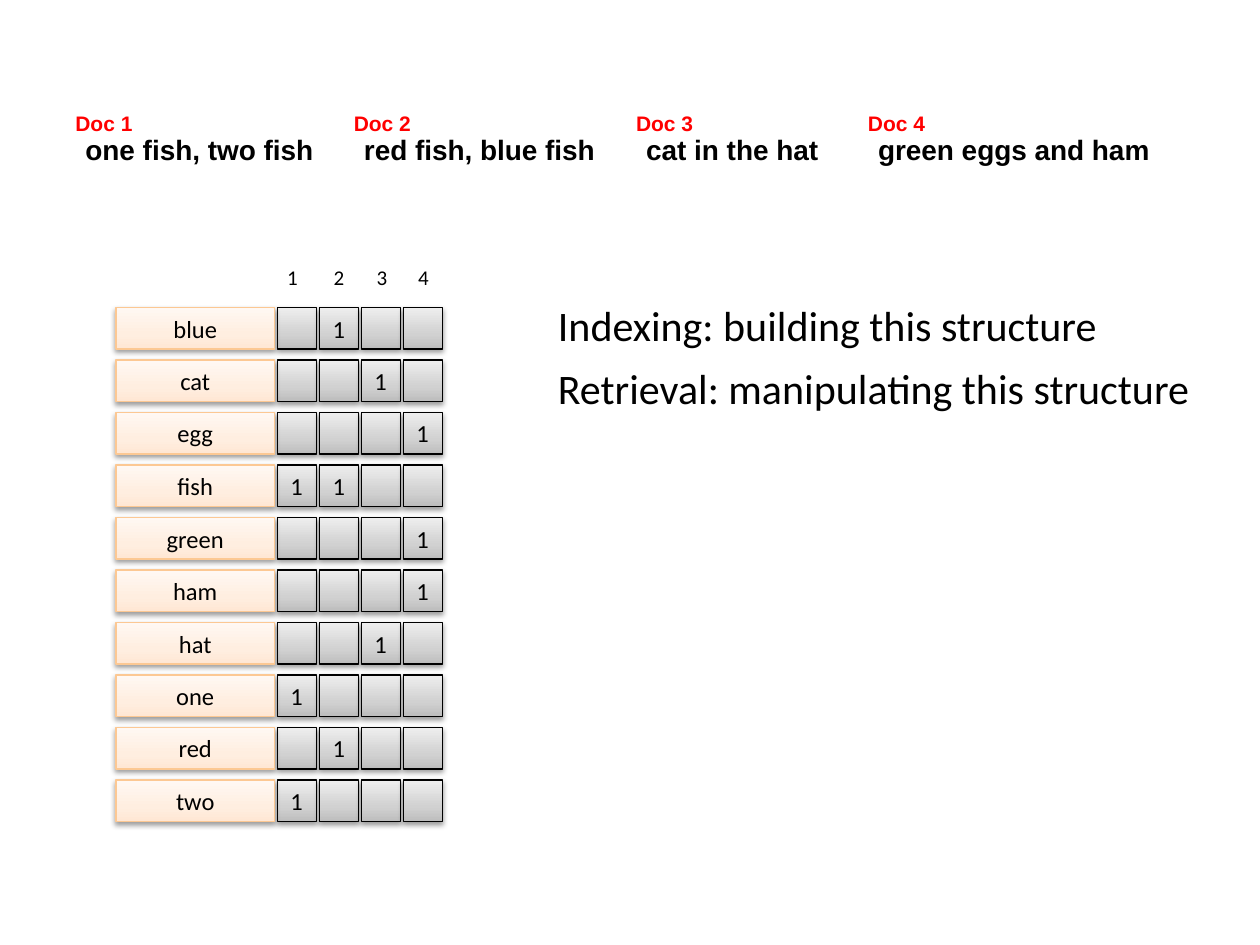
from copy import deepcopy
from typing import NamedTuple

from lxml import etree
from pptx import Presentation
from pptx import util as u
from pptx.dml.color import RGBColor
from pptx.enum import shapes, text
from pptx.oxml import ns

BLACK = RGBColor(0x00, 0x00, 0x00)
RED = RGBColor(0xFF, 0x00, 0x00)
PEACH = RGBColor(0xFC, 0xC8, 0x93)
# Fades run from the bottom edge to the top
GREYS = (RGBColor(0xBD, 0xBD, 0xBD), RGBColor(0xD1, 0xD1, 0xD1), RGBColor(0xEE, 0xEE, 0xEE))
CREAMS = (RGBColor(0xFF, 0xE7, 0xD4), RGBColor(0xFF, 0xEE, 0xE0), RGBColor(0xFF, 0xF8, 0xF3))
STOPS = (0, 0.35, 1)

TOP, ROW_STEP, HIGH = 2.44, 5 / 12, 0.33
TERM_LEFT, TERM_WIDE = 0.92, 1.26
CELL_LEFT, COL_STEP, CELL_WIDE = 2.2, 1 / 3, 0.31


class Doc(NamedTuple):
    left: float
    wide: float
    words: str


class Term(NamedTuple):
    word: str
    docs: tuple


class Look(NamedTuple):
    fade: tuple
    edge: RGBColor


class Type(NamedTuple):
    size: int
    face: str = "Calibri"
    color: RGBColor = BLACK
    bold: bool = False


DOCS = (
    Doc(0.5, 2.04, "one fish, two fish"),
    Doc(2.71, 2.06, "red fish, blue fish"),
    Doc(4.95, 1.59, "cat in the hat"),
    Doc(6.79, 2.38, "green eggs and ham"),
)
TERMS = (
    Term("blue", (2,)), Term("cat", (3,)), Term("egg", (4,)), Term("fish", (1, 2)),
    Term("green", (4,)), Term("ham", (4,)), Term("hat", (3,)), Term("one", (1,)),
    Term("red", (2,)), Term("two", (1,)),
)
HEADS = (2.18, 2.55, 2.89, 3.22)
NOTES = ("Indexing: building this structure", "Retrieval: manipulating this structure")

CELL = Look(GREYS, BLACK)
LABEL = Look(CREAMS, PEACH)


def write(frame, words: str, kind: Type) -> None:
    run = frame.paragraphs[0].add_run()
    run.text = words
    font = run.font
    font.size, font.name, font.bold = u.Pt(kind.size), kind.face, kind.bold
    font.color.rgb = kind.color


def add_text(parent, left: float, top: float, wide: float, high: float,
             words: str, kind: Type, wrap: bool = False) -> None:
    box = parent.add_textbox(*map(u.Inches, (left, top, wide, high)))
    frame = box.text_frame
    frame.word_wrap = wrap
    frame.auto_size = text.MSO_AUTO_SIZE.SHAPE_TO_FIT_TEXT
    write(frame, words, kind)


def add_fade(fill, colors: tuple) -> None:
    fill.gradient()
    fill.gradient_angle = 90
    first = fill._xPr.find(".//" + ns.qn("a:gs"))
    first.addnext(deepcopy(first))
    for stop, place, color in zip(fill.gradient_stops, STOPS, colors):
        stop.position = place
        stop.color.rgb = color


def add_shade(shape) -> None:
    shape.shadow.inherit = False
    effects = shape._element.spPr.find(ns.qn("a:effectLst"))
    shade = etree.SubElement(effects, ns.qn("a:outerShdw"), blurRad=str(u.Pt(3.1)),
                             dist=str(u.Pt(1.6)), dir="5400000", rotWithShape="0")
    color = etree.SubElement(shade, ns.qn("a:srgbClr"), val=str(BLACK))
    etree.SubElement(color, ns.qn("a:alpha"), val="38000")


def add_box(parent, left: float, top: float, wide: float, words: str, look: Look) -> None:
    box = parent.add_shape(shapes.MSO_SHAPE.RECTANGLE,
                           *map(u.Inches, (left, top, wide, HIGH)))
    add_fade(box.fill, look.fade)
    box.line.color.rgb = look.edge
    box.line.width = u.Pt(0.75)
    add_shade(box)
    if words:
        frame = box.text_frame
        frame.word_wrap = False
        frame.vertical_anchor = text.MSO_ANCHOR.MIDDLE
        frame.paragraphs[0].alignment = text.PP_ALIGN.CENTER
        write(frame, words, Type(14))


def main() -> None:
    deck = Presentation()
    deck.slide_width, deck.slide_height = u.Inches(10), u.Inches(7.5)
    # The slide has no title, so the blank layout is used
    tree = deck.slides.add_slide(deck.slide_layouts[6]).shapes

    # Documents along the top
    for num, doc in enumerate(DOCS, 1):
        group = tree.add_group_shape().shapes
        add_text(group, doc.left + 0.08, 1, doc.wide, 0.37, doc.words,
                 Type(16, "Arial", BLACK, True))
        add_text(group, doc.left, 0.83, 0.66, 0.3, f"Doc {num}",
                 Type(12, "Arial", RED, True))

    # Column heads
    for num, left in enumerate(HEADS, 1):
        add_text(tree, left, 2.05, 0.29, 0.3, str(num), Type(12))

    # Term rows with one cell per document
    for row, term in enumerate(TERMS):
        top = TOP + row * ROW_STEP
        for col in range(len(DOCS)):
            mark = "1" if col + 1 in term.docs else ""
            add_box(tree, CELL_LEFT + col * COL_STEP, top, CELL_WIDE, mark, CELL)
        add_box(tree, TERM_LEFT, top, TERM_WIDE, term.word, LABEL)

    # Notes on the right
    for row, words in enumerate(NOTES):
        add_text(tree, 4.33, 2.33 + row * 0.5, 5.67, 0.5, words, Type(24), True)

    deck.save("out.pptx")


if __name__ == "__main__":
    main()
